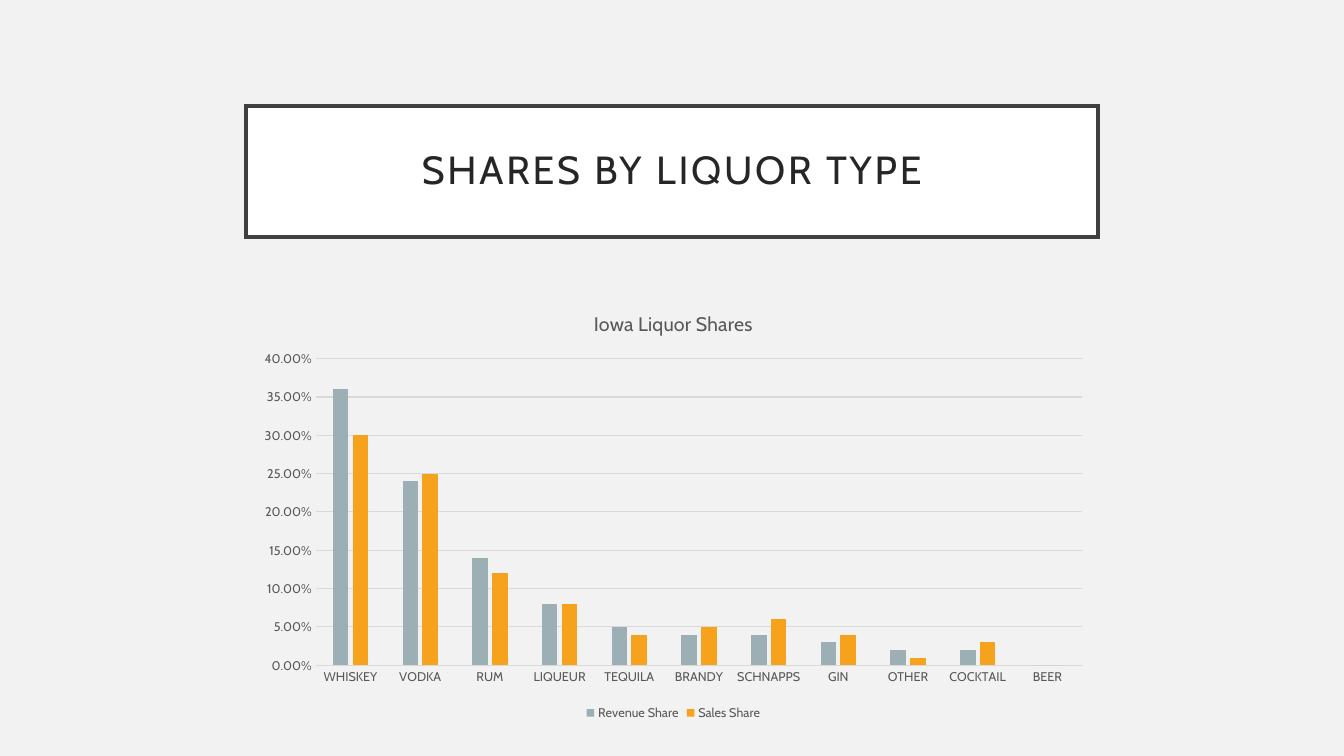
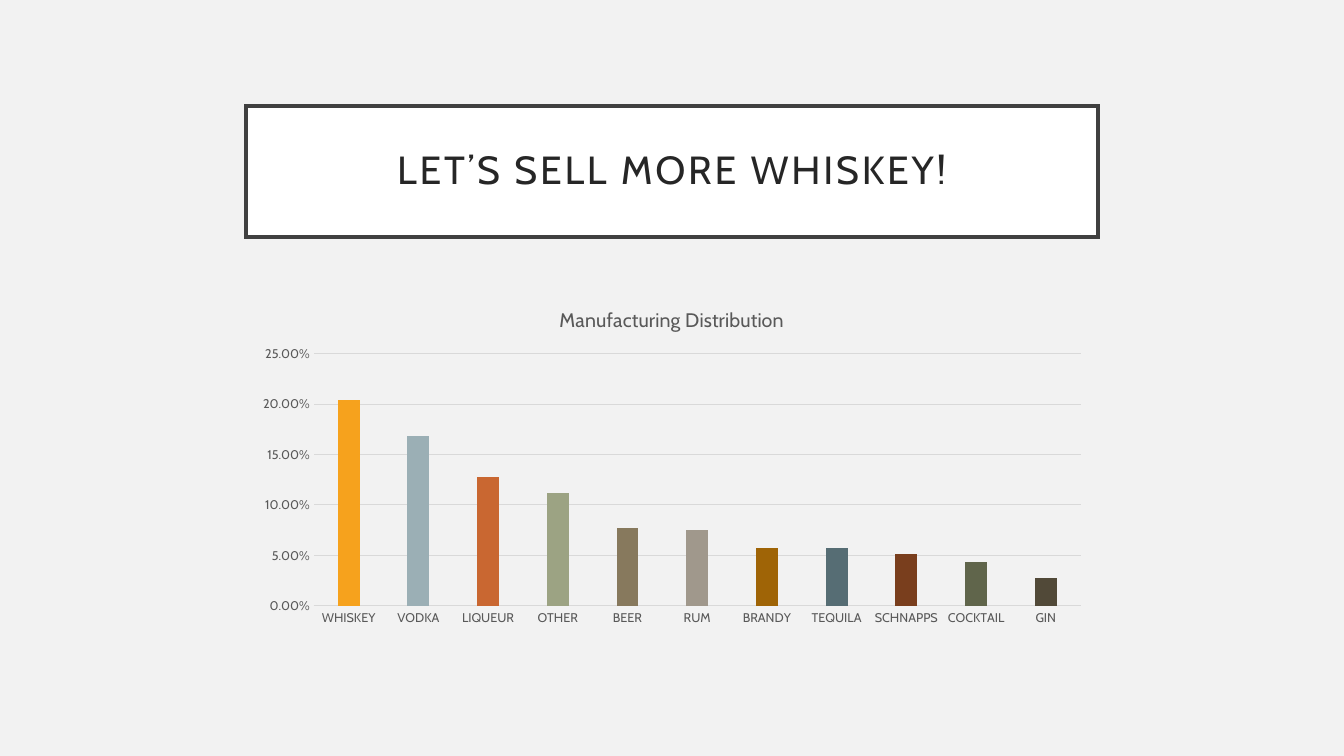
"""Build two slides that show liquor shares as column charts."""
from dataclasses import dataclass

from lxml import etree
from pptx import Presentation
from pptx.chart.chart import Chart
from pptx.chart.data import CategoryChartData
from pptx.dml.color import RGBColor
from pptx.enum.chart import XL_CHART_TYPE, XL_LEGEND_POSITION, XL_TICK_MARK
from pptx.enum.shapes import MSO_SHAPE
from pptx.enum.text import MSO_ANCHOR, PP_ALIGN
from pptx.oxml.ns import qn
from pptx.slide import Slide
from pptx.util import Pt

COLUMNS = XL_CHART_TYPE.COLUMN_CLUSTERED
BOTTOM = XL_LEGEND_POSITION.BOTTOM
NO_TICK = XL_TICK_MARK.NONE
RECTANGLE = MSO_SHAPE.RECTANGLE
MIDDLE = MSO_ANCHOR.MIDDLE
CENTER = PP_ALIGN.CENTER

FONT = "Cabin"
COLORS = {
    "background": "F2F2F2", "panel": "FFFFFF", "border": "404040",
    "title": "262626", "label": "595959", "grid": "D9D9D9",
    "gray": "9BAFB5", "orange": "F6A21D", "rust": "C96731",
    "sage": "9CA383", "olive": "87795D", "stone": "A0988C",
    "dark orange": "9F6406", "dark gray": "566D74", "dark rust": "793E1D",
    "dark sage": "60654B", "dark olive": "514938",
}
PAGE_WIDTH, PAGE_HEIGHT = 960, 540
TITLE_LEFT, TITLE_TOP, TITLE_WIDTH, TITLE_HEIGHT = 175.8, 75.8, 608.4, 93.6
TITLE_INSET = 14.4
AXIS_STEP = 0.05


@dataclass(frozen=True)
class Series:
    """One set of columns, with one color or a color for each column."""

    name: str
    values: tuple[float, ...]
    colors: tuple[str, ...]


@dataclass(frozen=True)
class ChartPage:
    """A slide with a framed title and a column chart."""

    title: str
    chart_title: str
    left: float
    top: float
    height: float
    maximum: float
    categories: tuple[str, ...]
    series: tuple[Series, ...]
    legend: bool = False


PAGES = (
    ChartPage(
        "SHARES BY LIQUOR TYPE", "Iowa Liquor Shares",
        left=176.8, top=208.8, height=308.88, maximum=0.4,
        categories=("WHISKEY", "VODKA", "RUM", "LIQUEUR", "TEQUILA", "BRANDY",
                    "SCHNAPPS", "GIN", "OTHER", "COCKTAIL", "BEER"),
        series=(
            Series("Revenue Share",
                   (0.36, 0.24, 0.14, 0.08, 0.05, 0.04,
                    0.04, 0.03, 0.02, 0.02, 0), ("gray",)),
            Series("Sales Share",
                   (0.3, 0.25, 0.12, 0.08, 0.04, 0.05,
                    0.06, 0.04, 0.01, 0.03, 0), ("orange",)),
        ),
        legend=True,
    ),
    ChartPage(
        "LET’S SELL MORE WHISKEY!", "Manufacturing Distribution",
        left=175.68, top=207.7, height=244.08, maximum=0.25,
        categories=("WHISKEY", "VODKA", "LIQUEUR", "OTHER", "BEER", "RUM",
                    "BRANDY", "TEQUILA", "SCHNAPPS", "COCKTAIL", "GIN"),
        series=(
            Series("Series 1",
                   (0.204, 0.168, 0.128, 0.112, 0.077, 0.075,
                    0.057, 0.057, 0.051, 0.043, 0.028),
                   ("orange", "gray", "rust", "sage", "olive", "stone",
                    "dark orange", "dark gray", "dark rust", "dark sage",
                    "dark olive")),
        ),
    ),
)


def color(name: str) -> RGBColor:
    """Return a named color."""
    return RGBColor.from_string(COLORS[name])


def paint(target, name: str) -> None:
    """Give a fill a solid named color."""
    target.solid()
    target.fore_color.rgb = color(name)


def style_font(font, size: float, name: str) -> None:
    """Set the typeface, size and color of a font."""
    font.name = FONT
    font.size = Pt(size)
    font.bold = False
    font.color.rgb = color(name)


def style_line(line, name: str, width: float) -> None:
    """Set the color and width of a line."""
    paint(line.fill, name)
    line.width = Pt(width)


def write(frame, text: str, *, size: float, ink: str, tracking: float = 0,
          line_spacing: float | None = None) -> None:
    """Write one centered paragraph into a text frame."""
    para = frame.paragraphs[0]
    para.alignment = CENTER
    para.line_spacing = line_spacing
    span = para.add_run()
    span.text = text
    style_font(span.font, size, ink)
    if tracking:
        span._r.get_or_add_rPr().set("spc", str(round(tracking * 100)))


def add_title(page: Slide, text: str) -> None:
    """Draw the title in a frame with sharp corners."""
    box = page.shapes.add_shape(RECTANGLE, Pt(TITLE_LEFT), Pt(TITLE_TOP),
                                Pt(TITLE_WIDTH), Pt(TITLE_HEIGHT))
    box.shadow.inherit = False
    paint(box.fill, "panel")
    style_line(box.line, "border", 2.5)
    outline = next(box.element.iter(qn("a:ln")))
    etree.SubElement(outline, qn("a:miter"), lim="800000")
    frame = box.text_frame
    frame.word_wrap = True
    frame.vertical_anchor = MIDDLE
    frame.margin_left = frame.margin_right = Pt(TITLE_INSET)
    frame.margin_top = frame.margin_bottom = Pt(TITLE_INSET)
    write(frame, text, size=28, ink="title", tracking=2, line_spacing=0.9)


def style_axes(chart: Chart, maximum: float) -> None:
    """Set the labels, lines and scale of both axes."""
    for axis in (chart.category_axis, chart.value_axis):
        axis.major_tick_mark = axis.minor_tick_mark = NO_TICK
        style_font(axis.tick_labels.font, 9, "label")
    style_line(chart.category_axis.format.line, "grid", 0.75)
    values = chart.value_axis
    values.minimum_scale, values.maximum_scale = 0, maximum
    values.major_unit = AXIS_STEP
    values.format.line.fill.background()
    style_line(values.major_gridlines.format.line, "grid", 0.75)
    values.tick_labels.number_format = "0.00%"
    values.tick_labels.number_format_is_linked = False


def color_columns(chart: Chart, series: tuple[Series, ...]) -> None:
    """Space the columns and color them by series or by point."""
    plot = chart.plots[0]
    plot.gap_width, plot.overlap = 219, -27
    plot.vary_by_categories = False
    for drawn, item in zip(plot.series, series):
        drawn.invert_if_negative = False
        paint(drawn.format.fill, item.colors[0])
        if len(item.colors) > 1:
            for index, name in enumerate(item.colors):
                paint(drawn.points[index].format.fill, name)


def add_chart(page: Slide, content: ChartPage) -> None:
    """Draw the column chart of a page."""
    data = CategoryChartData(number_format="0.00%")
    data.categories = content.categories
    for item in content.series:
        data.add_series(item.name, item.values)
    chart = page.shapes.add_chart(
        COLUMNS, Pt(content.left), Pt(content.top), Pt(TITLE_WIDTH),
        Pt(content.height), data).chart
    style_font(chart.font, 10, "label")
    chart.has_title = True
    write(chart.chart_title.text_frame, content.chart_title,
          size=14, ink="label")
    chart.chart_title.include_in_layout = False
    style_axes(chart, content.maximum)
    color_columns(chart, content.series)
    chart.has_legend = content.legend
    if content.legend:
        chart.legend.position = BOTTOM
        chart.legend.include_in_layout = False
        style_font(chart.legend.font, 9, "label")


def build() -> None:
    """Build and save the deck."""
    deck = Presentation()
    deck.slide_width, deck.slide_height = Pt(PAGE_WIDTH), Pt(PAGE_HEIGHT)
    paint(deck.slide_master.background.fill, "background")
    for content in PAGES:
        page = deck.slides.add_slide(deck.slide_layouts[6])
        add_title(page, content.title)
        add_chart(page, content)
    deck.save("out.pptx")


build()
